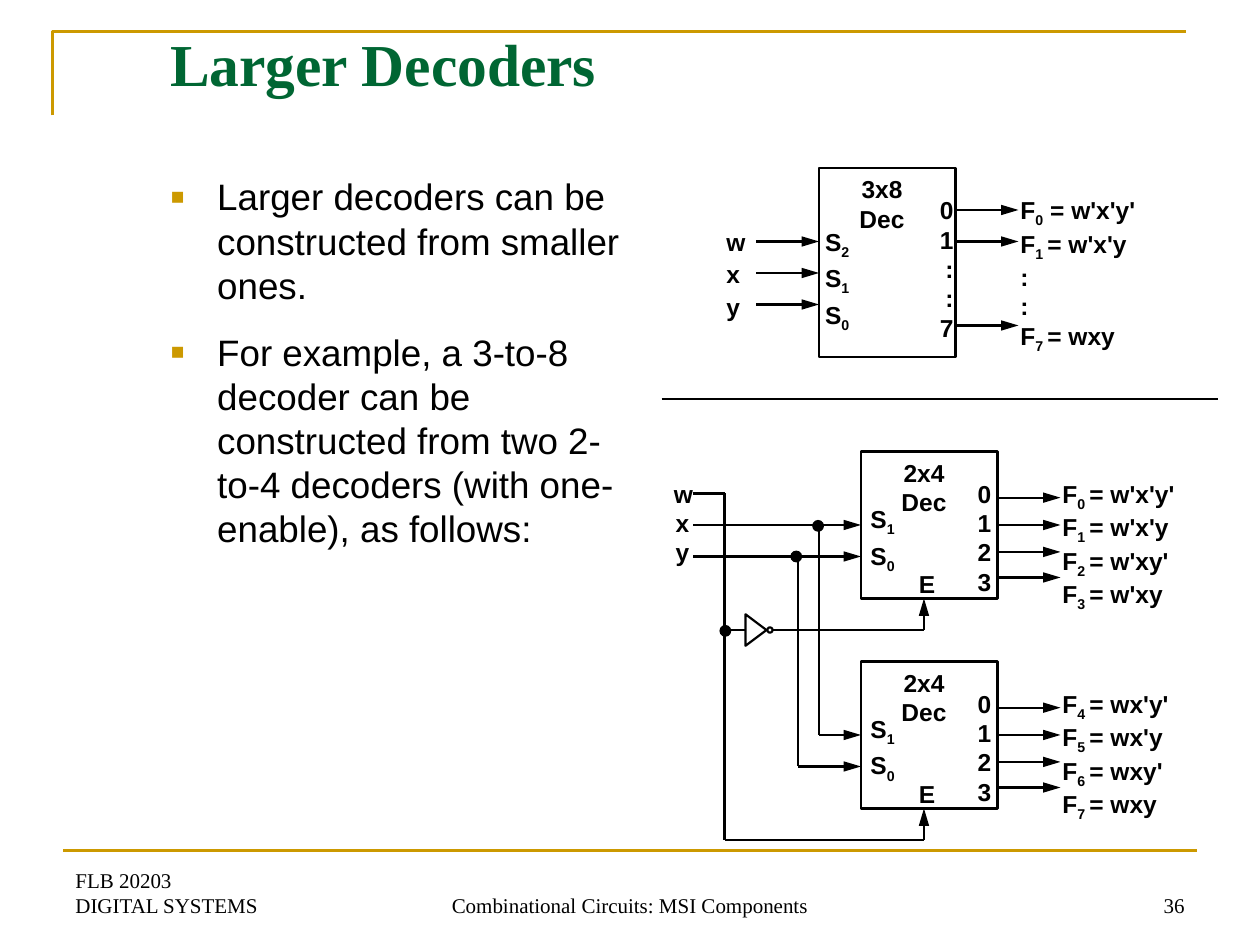
"""Build the slide on making a 3-to-8 decoder from two 2-to-4 decoders."""
from lxml import etree
from pptx import Presentation
from pptx.dml.color import RGBColor
from pptx.enum.shapes import MSO_CONNECTOR, MSO_SHAPE
from pptx.enum.text import MSO_ANCHOR, PP_ALIGN
from pptx.oxml.ns import qn
from pptx.util import Pt

LEFT, MID, RIGHT = PP_ALIGN.LEFT, PP_ALIGN.CENTER, PP_ALIGN.RIGHT
TOP, BOTTOM = MSO_ANCHOR.TOP, MSO_ANCHOR.BOTTOM
RECT, OVAL, MERGE = MSO_SHAPE.RECTANGLE, MSO_SHAPE.OVAL, MSO_SHAPE.FLOWCHART_MERGE
STRAIGHT = MSO_CONNECTOR.STRAIGHT
BLACK = RGBColor(0, 0, 0)
GOLD = RGBColor(0xCC, 0x99, 0x00)
GREEN = RGBColor(0x00, 0x66, 0x33)
SANS, SERIF = "Arial", "Times New Roman"

TITLE = "Larger Decoders"
POINTS = [
    "Larger decoders can be constructed from smaller ones.",
    "For example, a 3-to-8 decoder can be constructed from two 2-to-4 "
    "decoders (with one-enable), as follows:",
]
FOOTS = [
    ((36, 492, 168, 36), ["FLB 20203", "DIGITAL SYSTEMS"], LEFT),
    ((246, 492, 228, 36), ["Combinational Circuits: MSI Components"], MID),
    ((516, 492, 168, 36), ["36"], RIGHT),
]
INPUTS = ["w", "x", "y"]
BIG = {
    "name": "3x8", "box": (468, 96, 78, 108),
    "pins": "210", "pin_at": (-3.6, 30), "ins": [(432, 42), (432, 60), (432, 78)],
    "nums": "01::7", "num_at": 54, "outs": [24, 42, 90], "enable": False,
    "terms": [("F", "0", " = w'x'y'"), ("F", "1 ", "= w'x'y"), ":", ":",
              ("F", "7 ", "= wxy")],
}
SMALL = {
    "name": "2x4", "pins": "10", "pin_at": (-1.7, 26.4),
    "nums": "0123", "num_at": 51.6, "outs": [26.4, 42, 57.4, 72], "enable": True,
}
UPPER = SMALL | {
    "box": (492, 258, 78, 84), "ins": [(396, 42), (396, 60)],
    "terms": [("F", "0 ", "= w'x'y'"), ("F", "1 ", "= w'x'y"),
              ("F", "2 ", "= w'xy'"), ("F", "3 ", "= w'xy")],
}
LOWER = SMALL | {
    "box": (492, 378, 78, 84), "ins": [(468, 42), (456, 60)],
    "terms": [("F", "4 ", "= wx'y'"), ("F", "5 ", "= wx'y"),
              ("F", "6 ", "= wxy'"), ("F", "7 ", "= wxy")],
}
WIRES = [
    (396, 282, 414, 282), (414, 282, 414, 480), (414, 480, 528, 480),
    (468, 300, 468, 420), (456, 318, 456, 438),
    (414, 360, 426, 360), (441.5, 360, 528, 360),
]
ENABLES = [(528, 360, 528, 342), (528, 480, 528, 462)]
DOTS = [(414.5, 360.5), (455, 318), (467.5, 300.5)]


def pts(*nums):
    return [Pt(n) for n in nums]


def bullet(par):
    props = par._p.get_or_add_pPr()
    props.set("marL", str(Pt(27)))
    props.set("indent", str(-Pt(27)))
    color = etree.SubElement(props, qn("a:buClr"))
    etree.SubElement(color, qn("a:srgbClr"), val=str(GOLD))
    etree.SubElement(props, qn("a:buSzPct"), val="120000")
    etree.SubElement(props, qn("a:buFont"), typeface=SANS)
    etree.SubElement(props, qn("a:buChar"), char="▪")


def text(slide, box, lines, *, size=14, face=SANS, color=BLACK, bold=True,
         align=LEFT, anchor=TOP, gap=0, marks=False, shape=None):
    shape = shape or slide.shapes.add_textbox(*pts(*box))
    shape.left, shape.top, shape.width, shape.height = pts(*box)
    frame = shape.text_frame
    frame.word_wrap = True
    frame.vertical_anchor = anchor
    for i, line in enumerate(lines):
        par = frame.paragraphs[0] if i == 0 else frame.add_paragraph()
        if marks:
            bullet(par)
        par.alignment = align
        par.space_before = Pt(gap if i else 0)
        for j, part in enumerate([line] if isinstance(line, str) else line):
            run = par.add_run()
            run.text = part
            font = run.font
            font.size, font.name, font.bold = Pt(size), face, bold
            font.color.rgb = color
            if j == 1:
                font._element.set("baseline", "-25000")


def line(slide, ends, color=BLACK, width=1.25, arrow=False):
    wire = slide.shapes.add_connector(STRAIGHT, *pts(*ends))
    wire.line.color.rgb = color
    wire.line.width = Pt(width)
    if arrow:
        etree.SubElement(wire.line._get_or_add_ln(), qn("a:tailEnd"),
                         type="triangle", w="med", len="lg")
    etree.SubElement(wire._element.spPr, qn("a:effectLst"))
    return wire


def shape(slide, kind, box, width=1.25, fill=None, turn=0):
    item = slide.shapes.add_shape(kind, *pts(*box))
    item.shadow.inherit = False
    item.rotation = turn
    item.line.color.rgb = BLACK
    item.line.width = Pt(width)
    if fill is None:
        item.fill.background()
    else:
        item.fill.solid()
        item.fill.fore_color.rgb = fill
    return item


def decoder(slide, dec):
    x, y, w, h = dec["box"]
    body = shape(slide, RECT, dec["box"], width=1.5)
    text(slide, (x + 6, y, 60, 41), [dec["name"], "Dec"], align=MID)
    dx, dy = dec["pin_at"]
    pins = [("S", n) for n in dec["pins"]]
    text(slide, (x + dx, y + dy, 33, 24 * len(pins)), pins, gap=1.8)
    for start, drop in dec["ins"]:
        wire = line(slide, (start, y + drop, x, y + drop), arrow=True)
        if drop == h / 2:
            wire.end_connect(body, 1)
    for drop in dec["outs"]:
        wire = line(slide, (x + w, y + drop, x + w + 36, y + drop), arrow=True)
        if drop == h / 2:
            wire.begin_connect(body, 3)
    tall = 17 * len(dec["nums"]) + 7
    text(slide, (x + dec["num_at"], y + 12, 30, tall), dec["nums"], align=RIGHT)
    text(slide, (x + 108, y + 12, 90, tall + 8), dec["terms"])
    if dec["enable"]:
        text(slide, (x + 25.7, y + 63.8, 24, 24), ["E"], align=MID)


def main():
    deck = Presentation()
    deck.slide_width, deck.slide_height = pts(720, 540)
    slide = deck.slides.add_slide(deck.slide_layouts[5])

    path = slide.shapes.build_freeform(Pt(30), Pt(66), scale=1.0)
    path.add_line_segments([pts(30, 18), pts(678, 18)], close=False)
    frame = path.convert_to_shape()
    frame.shadow.inherit = False
    frame.fill.background()
    frame.line.color.rgb = GOLD
    frame.line.width = Pt(1.5)
    line(slide, (36, 486, 684, 486), color=GOLD, width=1.5)

    for box, lines, align in FOOTS:
        text(slide, box, lines, size=12, face=SERIF, bold=False,
             align=align, anchor=BOTTOM)
    text(slide, (90, 12, 612, 90), [TITLE], size=34, face=SERIF, color=GREEN,
         shape=slide.shapes.title)
    text(slide, (90, 96, 276, 306), POINTS, size=21, bold=False, gap=13.1,
         marks=True)

    for dec in (BIG, UPPER, LOWER):
        decoder(slide, dec)
    text(slide, (408, 126, 24, 61), INPUTS, gap=1.8)
    text(slide, (378, 270, 24, 58), INPUTS, align=MID)
    for ends in WIRES:
        line(slide, ends)
    for ends in ENABLES:
        line(slide, ends, arrow=True)
    shape(slide, MERGE, (423, 354, 18, 12), turn=270)
    shape(slide, OVAL, (438.5, 358.5, 3, 3), turn=270)
    for x, y in DOTS:
        shape(slide, OVAL, (x - 3, y - 3, 6, 6), width=0.75, fill=BLACK)
    line(slide, (378, 228, 696, 228), width=0.75)
    deck.save("out.pptx")


if __name__ == "__main__":
    main()
